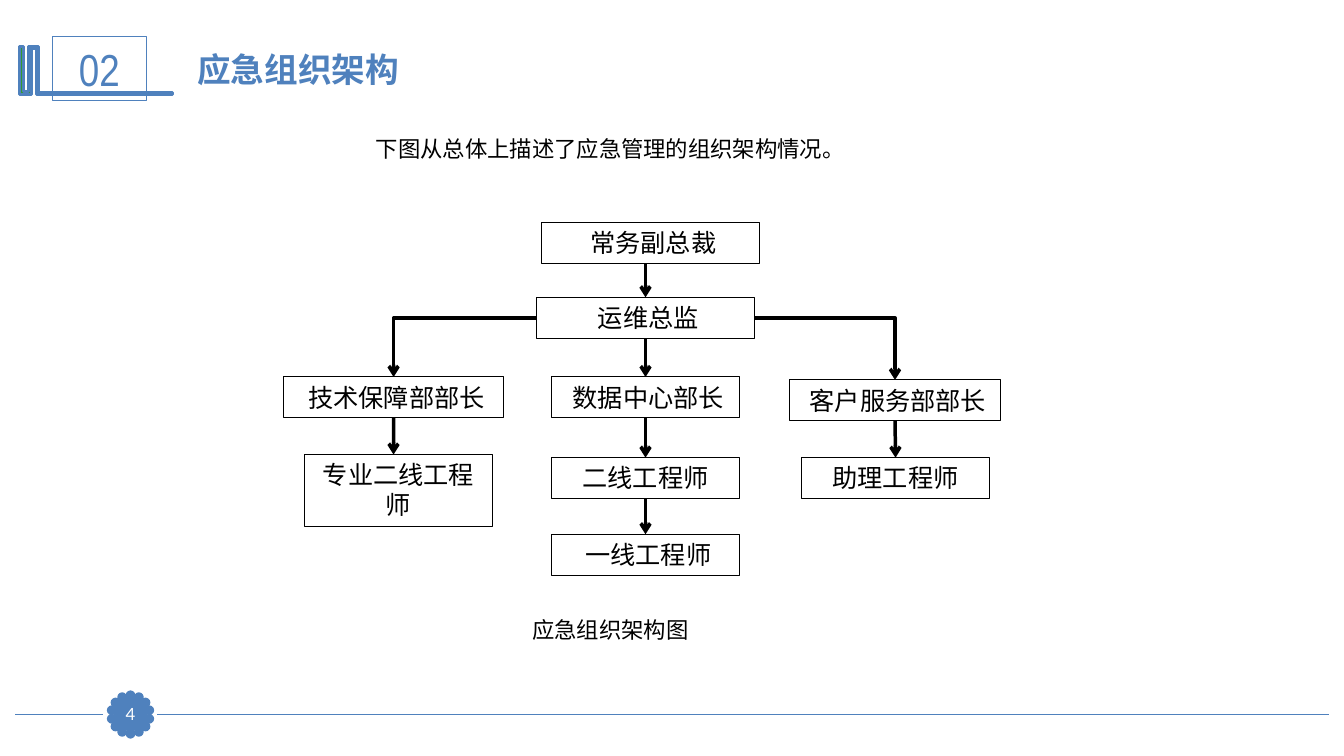
from math import cos, pi, sin

from lxml.etree import SubElement
from pptx import Presentation
from pptx.dml.color import RGBColor
from pptx.enum.shapes import MSO_CONNECTOR, MSO_SHAPE
from pptx.enum.text import MSO_ANCHOR, PP_ALIGN
from pptx.oxml.ns import qn
from pptx.util import Pt

BLUE, BLACK, WHITE, GREEN = "4F81BD", "000000", "FFFFFF", "339933"
CJK = "Noto Sans CJK SC"
BOTTOM, LEFT, TOP, RIGHT = 2, 1, 0, 3


def color(hex_value):
    return RGBColor.from_string(hex_value)


def style(sp, line, width, fill=None):
    sp.shadow.inherit = False
    if fill:
        sp.fill.solid()
        sp.fill.fore_color.rgb = color(fill)
    else:
        sp.fill.background()
    sp.line.color.rgb = color(line)
    sp.line.width = Pt(width)


def write(sp, text, size, font, text_color, bold=False,
          align=PP_ALIGN.LEFT, anchor=MSO_ANCHOR.TOP, wrap=True):
    tf = sp.text_frame
    tf.word_wrap = wrap
    tf.vertical_anchor = anchor
    p = tf.paragraphs[0]
    p.text = text
    p.alignment = align
    r = p.runs[0]
    r.font.size = Pt(size)
    r.font.name = font
    r.font.bold = bold
    r.font.color.rgb = color(text_color)
    SubElement(r.font._element, qn("a:ea")).set("typeface", CJK)
    return p


def add_rect(s, x, y, w, h, line, fill=None, shape=MSO_SHAPE.RECTANGLE, width=0.75):
    sp = s.shapes.add_shape(shape, Pt(x), Pt(y), Pt(w), Pt(h))
    style(sp, line, width, fill)
    return sp


def add_text(s, x, y, w, h, text, size, font, text_color, **options):
    sp = s.shapes.add_textbox(Pt(x), Pt(y), Pt(w), Pt(h))
    return write(sp, text, size, font, text_color, **options)


def add_line(s, x1, y1, x2, y2, line, width, kind=MSO_CONNECTOR.STRAIGHT):
    c = s.shapes.add_connector(kind, Pt(x1), Pt(y1), Pt(x2), Pt(y2))
    c.line.color.rgb = color(line)
    c.line.width = Pt(width)
    SubElement(c._element.spPr, qn("a:effectLst"))
    return c


def add_arrow(s, x1, y1, x2, y2, kind=MSO_CONNECTOR.STRAIGHT):
    c = add_line(s, x1, y1, x2, y2, BLACK, 2.5, kind)
    SubElement(c.line._get_or_add_ln(), qn("a:tailEnd")).set("type", "arrow")
    return c


def add_footer(s, x, y, w, number):
    cx, radius, dot, dots = x + 82.45, 13.7, 5, 14
    add_line(s, x + w, y, x + 101.5, y, BLUE, 1.25)
    add_line(s, x + 62.6, y, x, y, BLUE, 1.25)
    for i in range(dots):
        angle = 2 * pi * i / dots
        add_rect(s, cx + radius * sin(angle) - dot / 2,
                 y - radius * cos(angle) - dot / 2,
                 dot, dot, BLUE, BLUE, MSO_SHAPE.OVAL, 2)
    badge = add_rect(s, cx - 11.5, y - 11.5, 23, 22.3, BLUE, BLUE)
    tf = badge.text_frame
    tf.margin_left = tf.margin_right = tf.margin_top = tf.margin_bottom = 0
    write(badge, number, 12, "Lato", WHITE,
          align=PP_ALIGN.CENTER, anchor=MSO_ANCHOR.MIDDLE)


def add_header(s, x, y, number, title):
    outline = [(13, 0), (13.7, 0), (13.7, 33.1), (109.4, 33.1), (109.4, 34.6),
               (13, 34.6), (12.2, 34.6), (12.2, 1.4), (8.6, 1.4), (8.6, 34.6),
               (0, 34.6), (0, 0), (2.9, 0), (2.9, 32.4), (6.5, 32.4), (6.5, 0)]
    points = [(Pt(x + dx), Pt(y + dy)) for dx, dy in outline]
    builder = s.shapes.build_freeform(*points[0])
    builder.add_line_segments(points[1:], close=True)
    style(builder.convert_to_shape(), BLUE, 2, GREEN)
    box = add_rect(s, x + 23.8, y - 7.2, 67, 46.1, BLUE)
    write(box, number, 32, "Arial Narrow", BLUE,
          align=PP_ALIGN.CENTER, anchor=MSO_ANCHOR.MIDDLE)
    add_text(s, x + 120.2, y - 1.4, 697.7, 36.7, title, 24, CJK, BLUE, bold=True)


def add_org_chart(s, x, y):
    box_h, engineer_w = 29.2, 134.6
    staff = {
        "president": (" 常务副总裁", 184.3, 0, 156.2, box_h),
        "director": (" 运维总监", 180.7, 53.3, 156.2, box_h),
        "data": (" 数据中心部长", 191.5, 110.2, engineer_w, box_h),
        "second": ("二线工程师", 191.5, 167.8, engineer_w, box_h),
        "first": (" 一线工程师", 191.5, 222.5, engineer_w, box_h),
        "customer": (" 客户服务部部长", 361.4, 112.3, 151.2, box_h),
        "assistant": ("助理工程师", 370.1, 167.8, engineer_w, box_h),
        "tech": (" 技术保障部部长", 0, 110.2, 157.7, box_h),
        "specialist": ("专业二线工程师", 15.1, 165.6, engineer_w, 51.1),
    }
    boxes = {}
    for name, (text, dx, dy, w, h) in staff.items():
        boxes[name] = add_rect(s, x + dx, y + dy, w, h, BLACK)
        write(boxes[name], text, 18, "Lato", BLACK, align=PP_ALIGN.CENTER)

    mid_x, tech_x = x + 258.8, x + 78.8
    c = add_arrow(s, mid_x, y + box_h, mid_x, y + 53.3)
    c.end_connect(boxes["director"], TOP)
    c = add_arrow(s, tech_x, y + 110.2 + box_h, tech_x, y + 165.6)
    c.begin_connect(boxes["tech"], BOTTOM)

    for upper, lower in [("director", "data"), ("data", "second"),
                         ("second", "first"), ("customer", "assistant")]:
        c = add_arrow(s, 0, 0, 0, 0)
        c.begin_connect(boxes[upper], BOTTOM)
        c.end_connect(boxes[lower], TOP)

    for side, head, start_x, end_x, end_y in [
            (LEFT, "tech", x + 180.7, tech_x, y + 110.2),
            (RIGHT, "customer", x + 336.9, x + 437, y + 112.3)]:
        c = add_arrow(s, start_x, y + 53.3 + box_h / 2, end_x, end_y,
                      MSO_CONNECTOR.ELBOW)
        c.begin_connect(boxes["director"], side)
        c.end_connect(boxes[head], TOP)
        c._element.spPr.find(qn("a:prstGeom")).set("prst", "bentConnector2")


def main():
    prs = Presentation()
    prs.slide_width, prs.slide_height = Pt(960), Pt(540)
    s = prs.slides.add_slide(prs.slide_layouts[6])
    add_footer(s, 10.8, 510.4, 938.2, "4")
    add_header(s, 13.7, 33.1, "02", "应急组织架构")
    add_text(s, 261.4, 92.9, 353.5, 26.6, "下图从总体上描述了应急管理的组织架构情况。",
             16, "Calibri", BLACK, wrap=False)
    caption = add_text(s, 373, 427, 130.3, 36.7, "应急组织架构图", 16, "Lato", BLACK)
    caption.line_spacing = 1.5
    add_org_chart(s, 202.3, 159.1)
    prs.save("out.pptx")


if __name__ == "__main__":
    main()
